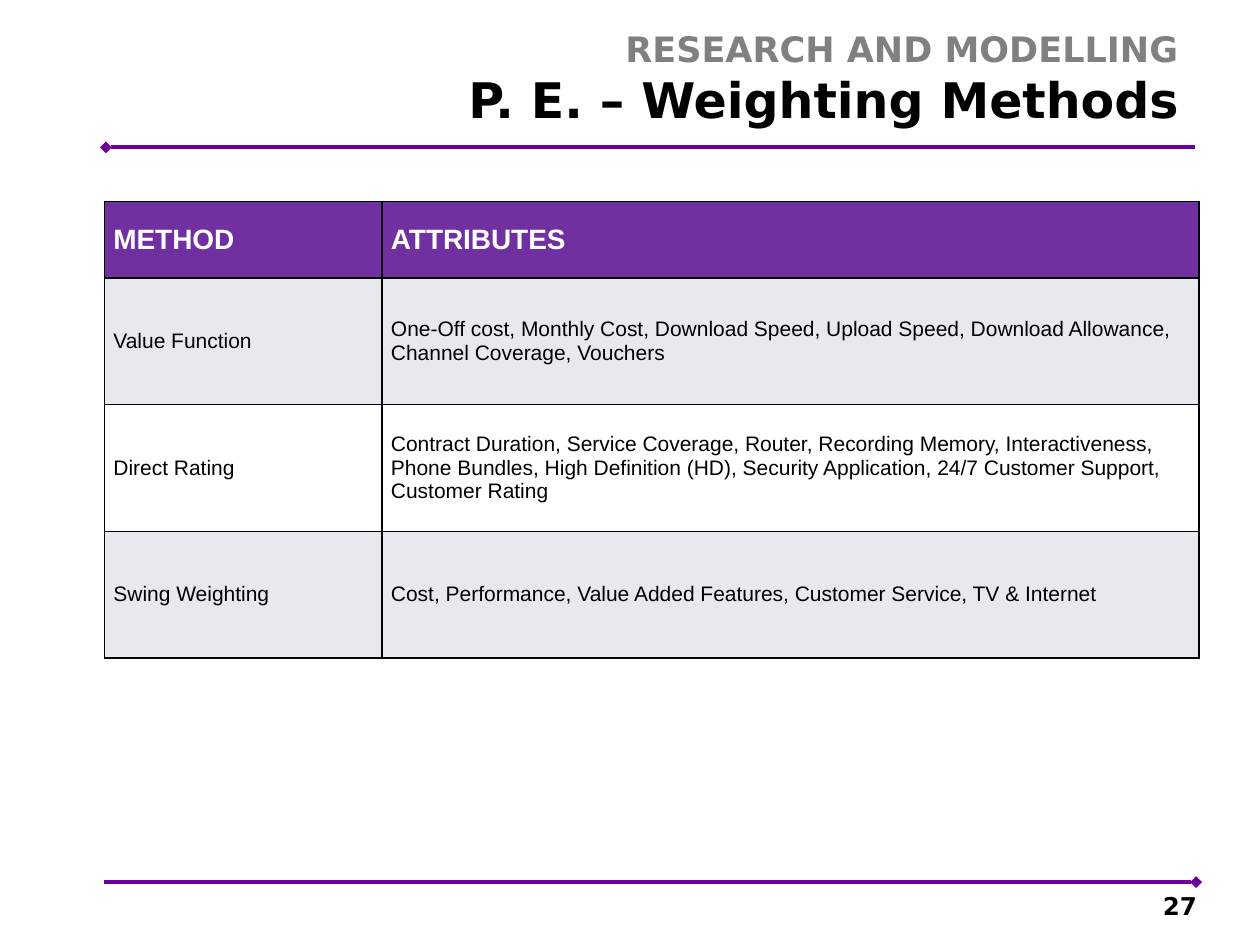
from dataclasses import dataclass

import pptx
import pptx.dml.color
import pptx.enum.shapes
import pptx.enum.text
import pptx.oxml
import pptx.oxml.ns
import pptx.util

Pt = pptx.util.Pt
ALIGN = pptx.enum.text.PP_ALIGN
ANCHOR = pptx.enum.text.MSO_ANCHOR

COLORS = {
    "rule": "6D009D",
    "head": "7030A0",
    "band": "E8E8EF",
    "white": "FFFFFF",
    "black": "000000",
    "grey": "808080",
}
SANS, BODY = "DejaVu Sans", "Arial"


@dataclass
class Style:
    font: str
    size: float
    color: str
    bold: bool = True


@dataclass
class Rule:
    start: float
    stop: float
    top: float
    end: str


@dataclass
class Label:
    left: float
    top: float
    width: float
    height: float
    text: str
    styles: list[Style]
    anchor: ANCHOR
    inset: float


RULES = [
    Rule(60.5, 683, 84.2, "headEnd"),
    Rule(59.5, 683.5, 504, "tailEnd"),
]
LABELS = [
    Label(190, 12.2, 490.5, 65, "RESEARCH AND MODELLING\vP. E. – Weighting Methods",
          [Style(SANS, 20, "grey"), Style(SANS, 28, "black")], ANCHOR.MIDDLE, 7.2),
    Label(516, 508.3, 168, 21, "27", [Style(SANS, 14, "black")], ANCHOR.BOTTOM, 0),
]
ROWS = [
    ("METHOD", "ATTRIBUTES"),
    ("Value Function",
     "One-Off cost, Monthly Cost, Download Speed, Upload Speed, "
     "Download Allowance, Channel Coverage, Vouchers"),
    ("Direct Rating",
     "Contract Duration, Service Coverage, Router, Recording Memory, "
     "Interactiveness, Phone Bundles, High Definition (HD), Security Application, "
     "24/7 Customer Support, Customer Rating"),
    ("Swing Weighting",
     "Cost, Performance, Value Added Features, Customer Service, TV & Internet"),
]
WIDTHS = (158.6, 467)
HEIGHTS = (43.6, 72.4, 72.4, 72.4)


def rgb(name: str) -> pptx.dml.color.RGBColor:
    return pptx.dml.color.RGBColor.from_string(COLORS[name])


def add_xml(parent, body: str) -> None:
    """Append one drawing element, given without its namespace."""
    tag, rest = body.split(" ", 1)
    space = pptx.oxml.ns.nsdecls("a")
    parent.append(pptx.oxml.parse_xml(f"<a:{tag} {space} {rest}"))


def style_run(run, style: Style) -> None:
    font = run.font
    font.name, font.size, font.bold = style.font, Pt(style.size), style.bold
    font.color.rgb = rgb(style.color)


def draw_rule(slide, rule: Rule) -> None:
    line = slide.shapes.add_connector(
        pptx.enum.shapes.MSO_CONNECTOR.STRAIGHT,
        Pt(rule.start), Pt(rule.top), Pt(rule.stop), Pt(rule.top))
    line.line.color.rgb = rgb("rule")
    line.line.width = Pt(2.25)
    add_xml(line.line._get_or_add_ln(), f'{rule.end} type="diamond"/>')
    add_xml(line._element.spPr, "effectLst />")


def draw_label(slide, label: Label) -> None:
    box = slide.shapes.add_textbox(
        Pt(label.left), Pt(label.top), Pt(label.width), Pt(label.height))
    frame = box.text_frame
    frame.word_wrap = True
    frame.vertical_anchor = label.anchor
    frame.margin_right = Pt(label.inset)
    para = frame.paragraphs[0]
    para.text = label.text
    para.alignment = ALIGN.RIGHT
    for run, style in zip(para.runs, label.styles):
        style_run(run, style)


def fill_cell(cell, text: str, style: Style, fill: str) -> None:
    cell.margin_left = cell.margin_right = Pt(5.2)
    cell.margin_top = cell.margin_bottom = 0
    cell.vertical_anchor = ANCHOR.MIDDLE
    cell.text_frame.text = text
    style_run(cell.text_frame.paragraphs[0].runs[0], style)
    props = cell._tc.get_or_add_tcPr()
    for side in "LRTB":
        add_xml(props, f'ln{side} w="{Pt(1)}"><a:solidFill><a:srgbClr '
                       f'val="{COLORS["black"]}"/></a:solidFill></a:ln{side}>')
    cell.fill.solid()
    cell.fill.fore_color.rgb = rgb(fill)


def draw_table(slide) -> None:
    table = slide.shapes.add_table(
        len(ROWS), len(WIDTHS), Pt(59.6), Pt(115.2),
        Pt(sum(WIDTHS)), Pt(sum(HEIGHTS))).table
    for col, width in zip(table.columns, WIDTHS):
        col.width = Pt(width)
    for row, height in zip(table.rows, HEIGHTS):
        row.height = Pt(height)
    head = Style(BODY, 16, "white")
    body = Style(BODY, 12, "black", False)
    for i, texts in enumerate(ROWS):
        fill = "head" if i == 0 else "band" if i % 2 else "white"
        for j, text in enumerate(texts):
            fill_cell(table.cell(i, j), text, body if i else head, fill)


def main() -> None:
    deck = pptx.Presentation()
    deck.slide_width, deck.slide_height = Pt(720), Pt(540)
    slide = deck.slides.add_slide(deck.slide_layouts[6])
    for rule in RULES:
        draw_rule(slide, rule)
    for label in LABELS:
        draw_label(slide, label)
    draw_table(slide)
    deck.save("out.pptx")


if __name__ == "__main__":
    main()
